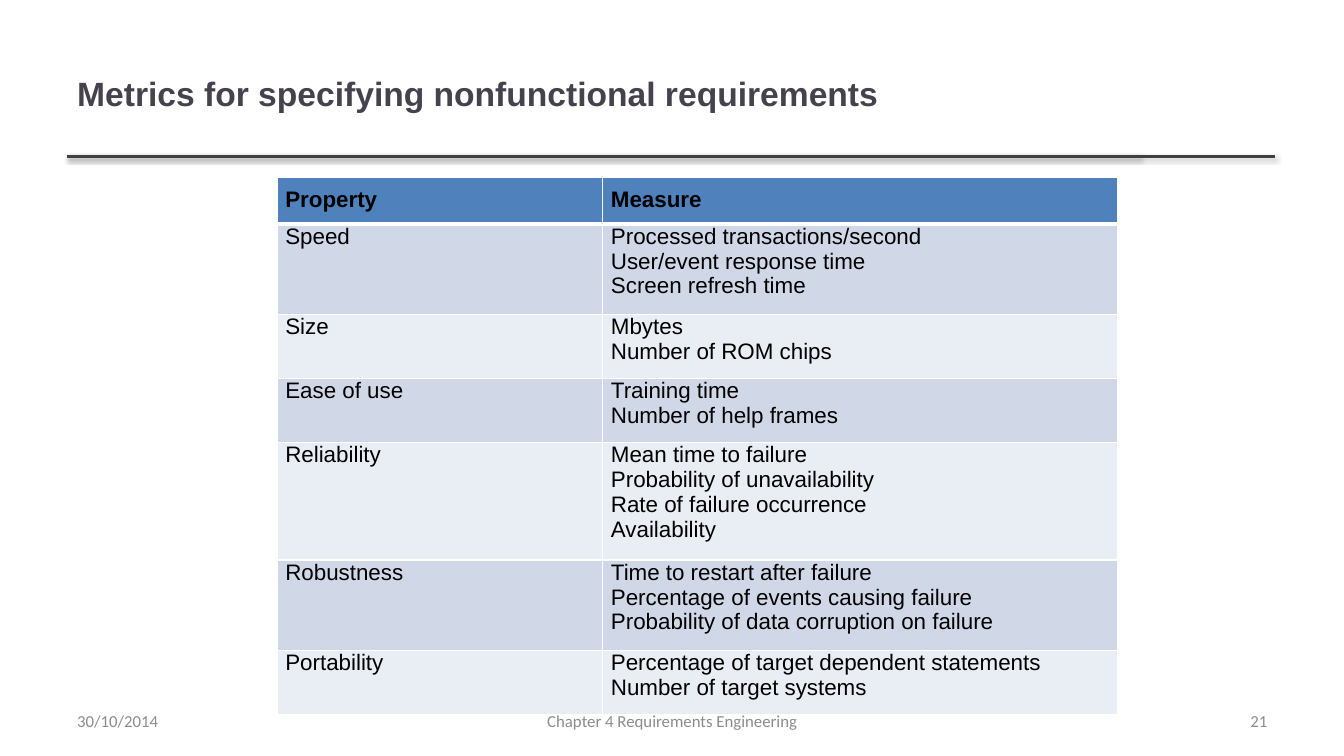
from pptx import Presentation
from pptx.dml.color import RGBColor
from pptx.enum.shapes import MSO_CONNECTOR
from pptx.enum.text import MSO_ANCHOR, PP_ALIGN
from pptx.oxml import parse_xml
from pptx.oxml.ns import nsdecls
from pptx.util import Inches, Pt

SLIDE_WIDTH, SLIDE_HEIGHT = Inches(13.33), Inches(7.5)
HEADER_FILL, BAND_FILLS = "4F81BD", ("D0D8E8", "E9EDF4")
FOOTER_TOP, FOOTER_HEIGHT = 92.67, 5.33
MARGIN = 5

HEADINGS = ("Property", "Measure")
METRICS = [
    ("Speed", ["Processed transactions/second", "User/event response time",
               "Screen refresh time"]),
    ("Size", ["Mbytes", "Number of ROM chips"]),
    ("Ease of use", ["Training time", "Number of help frames"]),
    ("Reliability", ["Mean time to failure", "Probability of unavailability",
                     "Rate of failure occurrence", "Availability"]),
    ("Robustness", ["Time to restart after failure",
                    "Percentage of events causing failure",
                    "Probability of data corruption on failure"]),
    ("Portability", ["Percentage of target dependent statements",
                     "Number of target systems"]),
]


def across(percent):
    return round(SLIDE_WIDTH * percent / 100)


def down(percent):
    return round(SLIDE_HEIGHT * percent / 100)


def color(hex_string):
    return RGBColor.from_string(hex_string)


def add_run(paragraph, text, size, font, ink, bold=False):
    run = paragraph.add_run()
    run.text = text
    run.font.size = Pt(size)
    run.font.name = font
    run.font.bold = bold
    run.font.color.rgb = color(ink)


def add_label(slide, box, text, size, font, ink, bold=False, align=PP_ALIGN.LEFT):
    left, top, width, height = box
    label = slide.shapes.add_textbox(across(left), down(top), across(width), down(height))
    frame = label.text_frame
    frame.word_wrap = True
    frame.vertical_anchor = MSO_ANCHOR.MIDDLE
    frame.paragraphs[0].alignment = align
    add_run(frame.paragraphs[0], text, size, font, ink, bold)


def add_footer(slide, left, width, text, align):
    add_label(slide, (left, FOOTER_TOP, width, FOOTER_HEIGHT), text,
              12, "Calibri", "8C8C8C", align=align)


def add_rule(slide, right):
    height = down(20.67)
    rule = slide.shapes.add_connector(
        MSO_CONNECTOR.STRAIGHT, across(MARGIN), height, across(right), height)
    rule.line.color.rgb = color("404040")
    rule.line.width = Pt(2)
    # Soft shadow straight below the rule
    rule._element.spPr.append(parse_xml(
        f'<a:effectLst {nsdecls("a")}>'
        f'<a:outerShdw blurRad="{Pt(3.1)}" dist="{Pt(1.6)}" dir="5400000" rotWithShape="0">'
        '<a:srgbClr val="000000"><a:alpha val="38000"/></a:srgbClr>'
        '</a:outerShdw></a:effectLst>'))


def add_borders(cell, top, bottom):
    properties = cell._tc.get_or_add_tcPr()
    for side, points in (("L", 1), ("R", 1), ("T", top), ("B", bottom)):
        properties.append(parse_xml(
            f'<a:ln{side} {nsdecls("a")} w="{Pt(points)}"><a:solidFill>'
            f'<a:srgbClr val="FFFFFF"/></a:solidFill></a:ln{side}>'))


def fill_cell(cell, lines, row):
    is_header = row == 0
    add_borders(cell, top=3 if row == 1 else 1, bottom=3 if is_header else 1)
    cell.fill.solid()
    cell.fill.fore_color.rgb = color(HEADER_FILL if is_header else BAND_FILLS[(row - 1) % 2])
    cell.margin_left = cell.margin_right = Inches(0.08)
    cell.margin_top = Inches(0.1 if is_header else 0)
    cell.margin_bottom = Inches(0.1)
    for index, line in enumerate(lines):
        frame = cell.text_frame
        paragraph = frame.add_paragraph() if index else frame.paragraphs[0]
        paragraph.alignment = PP_ALIGN.LEFT if line == "Reliability" else PP_ALIGN.JUSTIFY
        add_run(paragraph, line, 16, "Arial", "000000", bold=is_header)


def add_metrics_table(slide):
    property_width, measure_width = across(24.23), across(38.26)
    # Row height follows the number of measures
    row_heights = [down(5.73)] + [
        down(1.33 + 2.87 * len(measures)) for _, measures in METRICS]
    metrics = slide.shapes.add_table(
        len(row_heights), 2, across(20.63), down(23.4),
        property_width + measure_width, sum(row_heights)).table
    metrics.columns[0].width = property_width
    metrics.columns[1].width = measure_width

    contents = [(HEADINGS[0], [HEADINGS[1]])] + METRICS
    for row, (name, measures) in enumerate(contents):
        metrics.rows[row].height = row_heights[row]
        fill_cell(metrics.cell(row, 0), [name], row)
        fill_cell(metrics.cell(row, 1), measures, row)


def main():
    deck = Presentation()
    deck.slide_width, deck.slide_height = SLIDE_WIDTH, SLIDE_HEIGHT
    slide = deck.slides.add_slide(deck.slide_layouts[6])

    # Title above a doubled rule
    for right in (84.92, 94.9):
        add_rule(slide, right)
    add_label(slide, (MARGIN, 4, 79.74, 16.67),
              "Metrics for specifying nonfunctional requirements",
              24, "Arial", "46424D", bold=True)

    # Properties and their measures
    add_metrics_table(slide)

    # Footer
    add_footer(slide, MARGIN, 23.33, "30/10/2014", PP_ALIGN.LEFT)
    add_footer(slide, 34.2, 31.66, "Chapter 4 Requirements Engineering", PP_ALIGN.CENTER)
    add_footer(slide, 71.7, 23.33, "21", PP_ALIGN.RIGHT)

    deck.save("out.pptx")


if __name__ == "__main__":
    main()
